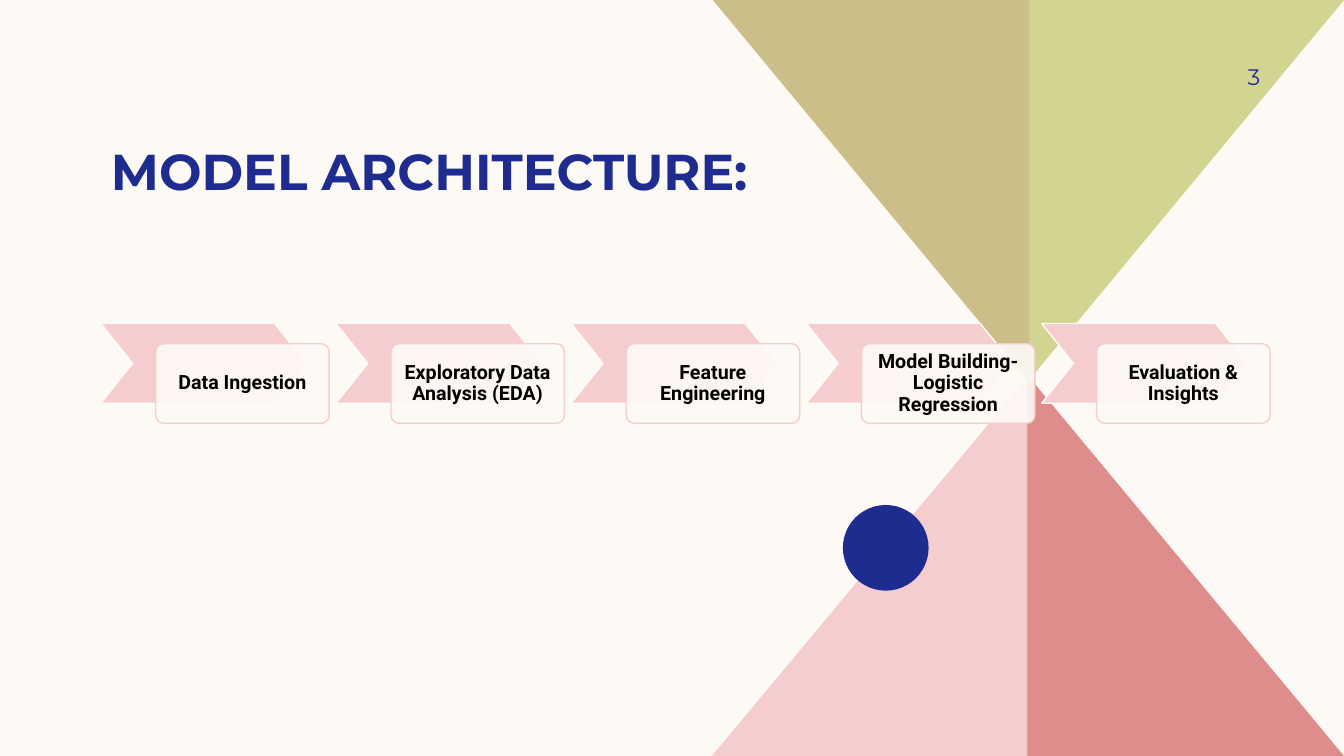
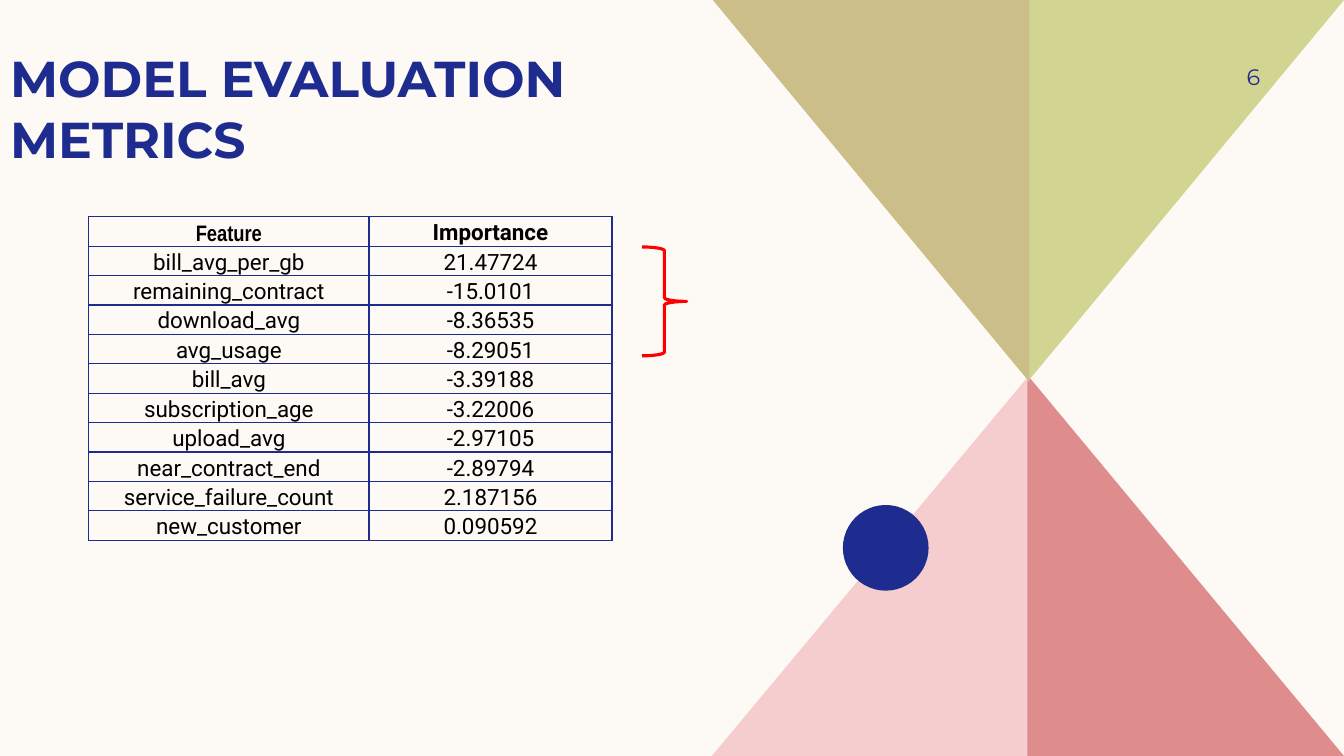
from lxml.etree import SubElement
from pptx import Presentation
from pptx.dml.color import RGBColor
from pptx.enum.shapes import MSO_SHAPE
from pptx.enum.text import MSO_ANCHOR, MSO_AUTO_SIZE, PP_ALIGN
from pptx.oxml.ns import qn
from pptx.util import Inches, Pt

CREAM = RGBColor(0xFD, 0xFA, 0xF6)
NAVY = RGBColor(0x1F, 0x2C, 0x8F)
PINK = RGBColor(0xF5, 0xCD, 0xCE)
ROSE = RGBColor(0xDE, 0x8C, 0x8C)
LIME = RGBColor(0xD2, 0xD5, 0x92)
KHAKI = RGBColor(0xCC, 0xBE, 0x89)
RED = RGBColor(0xFF, 0x00, 0x00)
BLACK = RGBColor(0x00, 0x00, 0x00)

TITLE_SIZE = (7.2, 1.67)
TRIANGLES = [
    (PINK, [(10.21, 3.72), (7.06, 7.5), (10.21, 7.5)]),
    (ROSE, [(10.19, 3.72), (13.33, 7.5), (10.19, 7.5)]),
    (LIME, [(10.19, 3.79), (13.33, 0), (10.19, 0)]),
    (KHAKI, [(10.21, 3.79), (7.07, 0), (10.21, 0)]),
]
PAGES = [
    ("MODEL ARCHITECTURE:", (1, 0.32), "3"),
    ("MODEL EVALUATION METRICS", (0, 0), "6"),
]
STEPS = [
    "Data Ingestion",
    "Exploratory Data Analysis (EDA)",
    "Feature Engineering",
    "Model Building- Logistic Regression",
    "Evaluation & Insights",
]
STEP_PITCH = 2.333
METRICS = [
    ("Feature", "Importance"),
    ("bill_avg_per_gb", "21.47724"),
    ("remaining_contract", "-15.0101"),
    ("download_avg", "-8.36535"),
    ("avg_usage", "-8.29051"),
    ("bill_avg", "-3.39188"),
    ("subscription_age", "-3.22006"),
    ("upload_avg", "-2.97105"),
    ("near_contract_end", "-2.89794"),
    ("service_failure_count", "2.187156"),
    ("new_customer", "0.090592"),
]


def write_text(frame, text, font="Roboto", size=16, color=BLACK, bold=False,
               align=PP_ALIGN.CENTER, anchor=MSO_ANCHOR.MIDDLE,
               insets=(0.1, 0.05, 0.1, 0.05), spacing=None):
    """Fill a text frame with one paragraph; insets run left, top, right, bottom."""
    frame.word_wrap = True
    frame.vertical_anchor = anchor
    (frame.margin_left, frame.margin_top,
     frame.margin_right, frame.margin_bottom) = map(Inches, insets)
    para = frame.paragraphs[0]
    para.alignment = align
    para.line_spacing = spacing
    span = para.add_run()
    span.text = text
    span.font.name = font
    span.font.size = Pt(size)
    span.font.bold = bold
    span.font.color.rgb = color


def paint(shape, fill=None, line=None, width=1):
    """Set fill and outline, leaving out whichever is None, and drop the shadow."""
    shape.shadow.inherit = False
    if fill is None:
        shape.fill.background()
    else:
        shape.fill.solid()
        shape.fill.fore_color.rgb = fill
    if line is None:
        shape.line.fill.background()
    else:
        shape.line.color.rgb = line
        shape.line.width = Pt(width)


deck = Presentation()
deck.slide_width = Inches(13.33)
deck.slide_height = Inches(7.5)
background = deck.slide_master.background.fill
background.solid()
background.fore_color.rgb = CREAM

# Shared title, backdrop and page number
for title, (left, top), number in PAGES:
    page = deck.slides.add_slide(deck.slide_layouts[5])
    for color, corners in TRIANGLES:
        points = [(Inches(x), Inches(y)) for x, y in corners]
        builder = page.shapes.build_freeform(*points[0])
        builder.add_line_segments(points[1:])
        paint(builder.convert_to_shape(), color)
    dot = page.shapes.add_shape(MSO_SHAPE.OVAL, Inches(8.36), Inches(5.01),
                                Inches(0.85), Inches(0.85))
    paint(dot, NAVY)

    heading = page.shapes.title
    heading.left, heading.top = Inches(left), Inches(top)
    heading.width, heading.height = map(Inches, TITLE_SIZE)
    heading.text_frame.auto_size = MSO_AUTO_SIZE.NONE
    write_text(heading.text_frame, title, "Montserrat", 36, NAVY, bold=True,
               align=PP_ALIGN.LEFT, anchor=MSO_ANCHOR.BOTTOM,
               insets=(0.1, 0, 0.1, 0))

    box = page.shapes.add_textbox(Inches(11.33), Inches(0.5),
                                  Inches(1.17), Inches(0.52))
    write_text(box.text_frame, number, "Montserrat", 16, NAVY,
               align=PP_ALIGN.RIGHT, insets=(0.1, 0.05, 0, 0.05))

architecture_page, metrics_page = deck.slides

# Process steps
for index, step in enumerate(STEPS):
    left = 1 + index * STEP_PITCH
    chevron = architecture_page.shapes.add_shape(
        MSO_SHAPE.CHEVRON, Inches(left), Inches(3.21), Inches(2.04), Inches(0.79))
    chevron.adjustments[0] = 0.4
    paint(chevron, PINK, CREAM)

    card = architecture_page.shapes.add_shape(
        MSO_SHAPE.ROUNDED_RECTANGLE, Inches(left + 0.545), Inches(3.41),
        Inches(1.72), Inches(0.79))
    card.adjustments[0] = 0.1
    paint(card, CREAM, PINK)
    card_color = card.fill._xPr.find(qn("a:solidFill"))[0]
    SubElement(card_color, qn("a:alpha"), val="90000")
    write_text(card.text_frame, step, size=14, bold=True,
               insets=(0.11, 0.11, 0.11, 0.11), spacing=0.9)

# Feature importance table
table = metrics_page.shapes.add_table(
    len(METRICS), 2, Inches(0.88), Inches(2.15), Inches(5.19), Inches(3.21)).table
table.first_row = table.horz_banding = False
table.columns[0].width = Inches(2.78)
table.columns[1].width = Inches(2.41)
for row, values in enumerate(METRICS):
    for column, value in enumerate(values):
        cell = table.cell(row, column)
        write_text(cell.text_frame, value,
                   "Arial Narrow" if value == "Feature" else "Roboto",
                   bold=row == 0)
        cell.vertical_anchor = MSO_ANCHOR.BOTTOM
        cell.margin_left = cell.margin_top = cell.margin_right = Inches(0.01)
        cell.margin_bottom = 0
        properties = cell._tc.get_or_add_tcPr()
        for side in ("lnL", "lnR", "lnT", "lnB"):
            border = SubElement(properties, qn(f"a:{side}"), w=str(Pt(1)))
            border_fill = SubElement(border, qn("a:solidFill"))
            SubElement(border_fill, qn("a:srgbClr"), val=str(NAVY))
        cell.fill.background()

brace = metrics_page.shapes.add_shape(MSO_SHAPE.RIGHT_BRACE, Inches(6.37),
                                      Inches(2.45), Inches(0.44), Inches(1.08))
paint(brace, line=RED, width=2.25)

deck.save("out.pptx")
